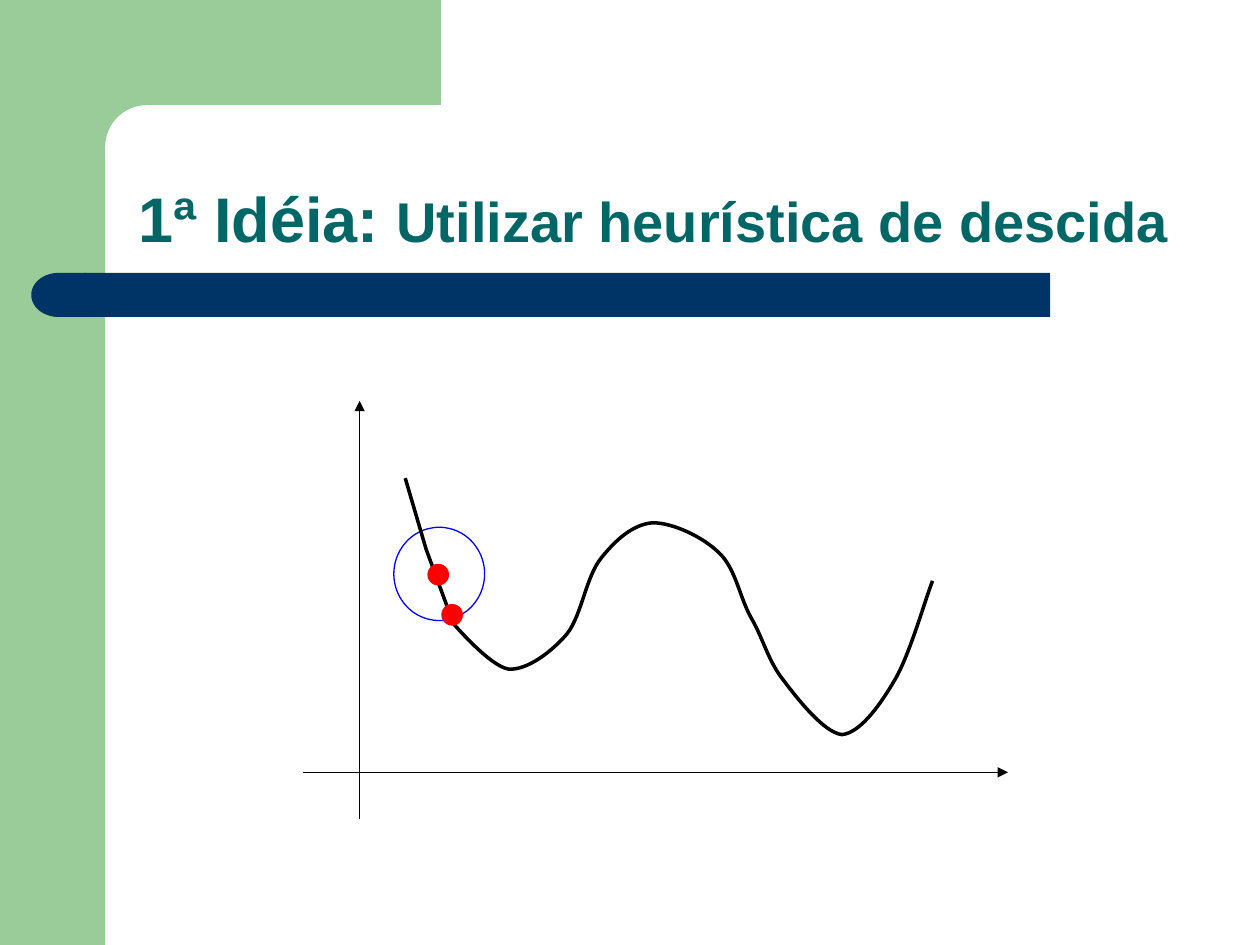
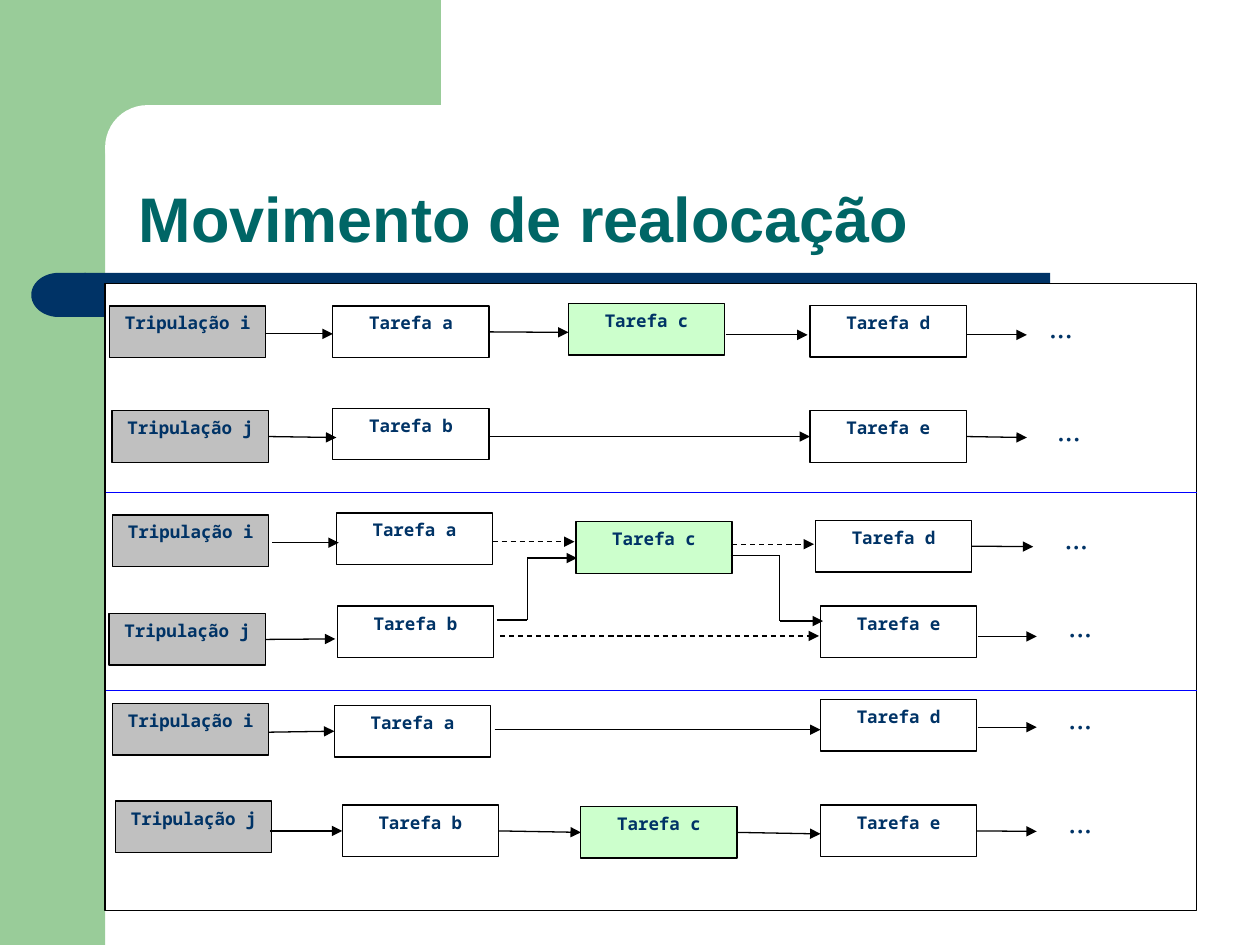
"""Builds two slides on descent heuristics and the reallocation move."""
from dataclasses import dataclass
from itertools import chain, pairwise

from pptx import Presentation
from pptx import util as u
from pptx.dml.color import RGBColor
from pptx.enum import dml, shapes, text
from pptx.oxml.ns import qn
from lxml import etree

COLORS = {
    "green": "99CC99", "navy": "003366", "teal": "006666", "white": "FFFFFF",
    "black": "000000", "blue": "0000FF", "red": "FF0000", "mint": "CCFFCC", "gray": "C0C0C0",
}
TITLE_FRAME = {"left": u.Cm(2.54), "top": u.Cm(2.11), "width": u.Cm(22.22), "height": u.Cm(3.18)}
TITLE_TEXT = {"vertical_anchor": text.MSO_ANCHOR.BOTTOM, "auto_size": text.MSO_AUTO_SIZE.NONE,
              "word_wrap": True}
BOX_TEXT = {"vertical_anchor": text.MSO_ANCHOR.TOP, "word_wrap": True,
            "margin_left": u.Cm(0.25), "margin_right": u.Cm(0.25),
            "margin_top": u.Cm(0.13), "margin_bottom": u.Cm(0.13)}
TASK_FONT = {"name": "Noto Sans Mono", "size": u.Pt(10), "bold": True}
DOTS_FONT = {"name": "Times New Roman", "size": u.Pt(18), "bold": False}
RECTANGLE = shapes.MSO_SHAPE.RECTANGLE
OVAL = shapes.MSO_SHAPE.OVAL
BOX_SIZE = (3.15, 1.04)
DOTS_SIZE = (2.08, 1.37)
JOIN_GAP = u.Cm(0.07)
JOIN_DRIFT = u.Cm(0.03)


@dataclass
class Figure:
    """A preset shape, measured in centimetres."""
    kind: shapes.MSO_SHAPE
    left: float
    top: float
    width: float
    height: float
    fill: str
    line: str | None = None


@dataclass
class Line:
    """A straight line between two points in centimetres."""
    start: tuple[float, float]
    end: tuple[float, float]
    color: str = "black"
    arrow: bool = True
    dashed: bool = False


@dataclass
class Row:
    """A crew with its chain of tasks, the closing dots and level arrows."""
    boxes: list[tuple[str, float, float]]
    dots: tuple[float, float]
    arrows: list[tuple[float, float, float]]
    dashed: tuple[int, ...] = ()


BAND = [
    Figure(RECTANGLE, 0, 0, 2.12, 19.05, "green"),
    Figure(RECTANGLE, 1.9, 0, 6.99, 2.97, "green"),
    Figure(shapes.MSO_SHAPE.ROUNDED_RECTANGLE, 2.12, 2.12, 14.17, 1.7, "white"),
    Figure(RECTANGLE, 1.7, 5.5, 19.47, 0.89, "navy"),
    Figure(shapes.MSO_SHAPE.FLOWCHART_DELAY, 0.63, 5.5, 1.1, 0.89, "navy"),
]

NEIGHBOURHOOD = Figure(OVAL, 7.94, 10.63, 1.83, 1.88, "white", "blue")
SOLUTIONS = [Figure(OVAL, left, top, 0.41, 0.41, "red", "red")
             for left, top in [(8.63, 11.38), (8.91, 12.19)]]
AXES = [Line((7.25, 16.51), (7.25, 8.08)), Line((6.1, 15.57), (20.32, 15.57))]
CURVE_START = (8.17, 9.64)
CURVE = [
    ((8.17, 9.64), (8.59, 11.07), (8.59, 11.07)),
    ((8.59, 11.07), (9.14, 12.57), (9.14, 12.57)),
    ((9.14, 12.57), (9.88, 13.44), (10.26, 13.49)),
    ((10.64, 13.51), (11.13, 13.13), (11.43, 12.78)),
    ((11.73, 12.4), (11.81, 11.63), (12.12, 11.25)),
    ((12.4, 10.9), (12.75, 10.57), (13.16, 10.54)),
    ((13.56, 10.54), (14.17, 10.82), (14.5, 11.15)),
    ((14.83, 11.46), (14.91, 12.04), (15.14, 12.45)),
    ((15.39, 12.88), (15.49, 13.34), (15.8, 13.72)),
    ((16.1, 14.12), (16.61, 14.76), (16.97, 14.81)),
    ((17.3, 14.78), (17.68, 14.33), (18.06, 13.67)),
    ((18.36, 13.13), (18.64, 12.12), (18.8, 11.71)),
]

PANEL = Figure(RECTANGLE, 2.12, 5.72, 22, 12.64, "white", "black")
DIVIDERS = [Line((2.13, y), (24.13, y), "blue", arrow=False) for y in (9.93, 13.92)]
ROWS = [
    Row([("Tripulação i", 2.21, 6.17), ("Tarefa a", 6.71, 6.17),
         ("Tarefa c", 11.46, 6.12), ("Tarefa d", 16.33, 6.16)], (20.9, 6.05),
        [(5.36, 6.71, 6.73), (9.88, 11.46, 6.7), (14.63, 16.28, 6.75), (19.48, 20.7, 6.75)]),
    Row([("Tripulação j", 2.26, 8.28), ("Tarefa b", 6.71, 8.23),
         ("Tarefa e", 16.33, 8.28)], (21.06, 8.13),
        [(5.46, 6.78, 8.82), (9.88, 16.31, 8.8), (19.48, 20.7, 8.82)]),
    Row([("Tripulação i", 2.27, 10.38), ("Tarefa a", 6.78, 10.34),
         ("Tarefa c", 11.61, 10.52), ("Tarefa d", 16.44, 10.49)], (21.21, 10.31),
        [(5.49, 6.83, 10.94), (9.93, 11.58, 10.92), (14.76, 16.41, 10.97),
         (19.63, 20.83, 11.02)], dashed=(1, 2)),
    Row([("Tripulação j", 2.2, 12.37), ("Tarefa b", 6.8, 12.22),
         ("Tarefa e", 16.54, 12.22)], (21.29, 12.09),
        [(5.41, 6.76, 12.88), (10.08, 16.51, 12.82), (19.71, 20.9, 12.83)], dashed=(1,)),
    Row([("Tripulação i", 2.27, 14.18), ("Tarefa a", 6.74, 14.22),
         ("Tarefa d", 16.54, 14.1)], (21.29, 13.94),
        [(5.41, 6.76, 14.76), (9.97, 16.54, 14.71), (19.71, 20.9, 14.66)]),
    Row([("Tripulação j", 2.33, 16.15), ("Tarefa b", 6.9, 16.23),
         ("Tarefa c", 11.71, 16.26), ("Tarefa e", 16.54, 16.23)], (21.29, 16.03),
        [(5.44, 6.93, 16.75), (10.06, 11.71, 16.76), (14.88, 16.54, 16.81),
         (19.71, 20.9, 16.76)]),
]
DETOURS = [
    [(10.01, 12.5), (10.63, 12.5), (10.63, 11.25), (11.63, 11.25)],
    [(14.73, 11.2), (15.72, 11.2), (15.72, 12.52), (16.59, 12.52)],
]


def rgb(name: str) -> RGBColor:
    """Return a palette colour."""
    return RGBColor.from_string(COLORS[name])


def apply(target, values: dict) -> None:
    """Set each named attribute on the target."""
    for name, value in values.items():
        setattr(target, name, value)


def draw_figure(slide, figure: Figure):
    """Draw a preset shape."""
    frame = map(u.Cm, (figure.left, figure.top, figure.width, figure.height))
    shape = slide.shapes.add_shape(figure.kind, *frame)
    shape.shadow.inherit = False
    shape.fill.solid()
    shape.fill.fore_color.rgb = rgb(figure.fill)
    if figure.line:
        shape.line.color.rgb = rgb(figure.line)
        shape.line.width = u.Pt(0.75)
    else:
        shape.line.fill.background()
    return shape


def write(shape, words: str, font: dict, alignment) -> None:
    """Write one line of navy text in a shape."""
    apply(shape.text_frame, BOX_TEXT)
    paragraph = shape.text_frame.paragraphs[0]
    paragraph.alignment = alignment
    run = paragraph.add_run()
    run.text = words
    apply(run.font, font)
    run.font.color.rgb = rgb("navy")


def find_side(boxes: list, x: int, y: int):
    """Return the box and site whose side middle lies at the point, if any."""
    for box in boxes:
        middle = box.top + box.height // 2
        for site, edge in ((1, box.left), (3, box.left + box.width)):
            if abs(x - edge) <= JOIN_GAP and abs(y - middle) <= JOIN_DRIFT:
                return box, site
    return None


def draw_line(slide, line: Line, boxes: list | None = None) -> None:
    """Draw a straight connector and join it to the boxes it meets."""
    ends = [u.Cm(value) for value in (*line.start, *line.end)]
    connector = slide.shapes.add_connector(shapes.MSO_CONNECTOR.STRAIGHT, *ends)
    connector.line.color.rgb = rgb(line.color)
    connector.line.width = u.Pt(0.75)
    if line.dashed:
        connector.line.dash_style = dml.MSO_LINE.DASH
    if line.arrow:
        etree.SubElement(connector.line._get_or_add_ln(), qn("a:tailEnd"), type="triangle")
    etree.SubElement(connector._element.spPr, qn("a:effectLst"))
    for join, point in ((connector.begin_connect, ends[:2]), (connector.end_connect, ends[2:])):
        side = find_side(boxes or [], *point)
        if side:
            join(*side)


def draw_curve(slide) -> None:
    """Draw the cost curve, turning each three points into a Bézier segment."""
    builder = slide.shapes.build_freeform(*map(u.Cm, CURVE_START))
    points = [tuple(map(u.Cm, point)) for point in chain.from_iterable(CURVE)]
    builder.add_line_segments(points, close=False)
    curve = builder.convert_to_shape()
    segments = list(curve._element.iter(qn("a:lnTo")))
    for index in range(0, len(segments), 3):
        bezier = etree.SubElement(segments[index].getparent(), qn("a:cubicBezTo"))
        for segment in segments[index:index + 3]:
            bezier.append(segment[0])
            segment.getparent().remove(segment)
    curve.shadow.inherit = False
    curve.fill.background()
    curve.line.color.rgb = rgb("black")
    curve.line.width = u.Pt(2)


def draw_row(slide, row: Row) -> None:
    """Draw one crew chain with its arrows."""
    boxes = []
    for words, left, top in row.boxes:
        fill = "gray" if words.startswith("Tripulação") else "mint" if words == "Tarefa c" else "white"
        box = draw_figure(slide, Figure(RECTANGLE, left, top, *BOX_SIZE, fill, "black"))
        write(box, words, TASK_FONT, text.PP_ALIGN.CENTER)
        boxes.append(box)
    dots = draw_figure(slide, Figure(RECTANGLE, *row.dots, *DOTS_SIZE, "white", "white"))
    write(dots, "...", DOTS_FONT, text.PP_ALIGN.LEFT)
    for index, (left, right, y) in enumerate(row.arrows):
        draw_line(slide, Line((left, y), (right, y), dashed=index in row.dashed), boxes)


def add_titled_slide(presentation, *runs: tuple[str, int]):
    """Add a title-only slide whose title has runs of the given sizes."""
    slide = presentation.slides.add_slide(presentation.slide_layouts[5])
    title = slide.shapes.title
    apply(title, TITLE_FRAME)
    apply(title.text_frame, TITLE_TEXT)
    paragraph = title.text_frame.paragraphs[0]
    apply(paragraph, {"alignment": text.PP_ALIGN.LEFT, "line_spacing": 0.9})
    for words, size in runs:
        run = paragraph.add_run()
        run.text = words
        apply(run.font, {"name": "Arial", "size": u.Pt(size), "bold": True})
        run.font.color.rgb = rgb("teal")
    return slide


def move_band_to_layout(slide) -> None:
    """Draw the shared band and place it on the slide layout."""
    for number, figure in enumerate(BAND, start=20):
        shape = draw_figure(slide, figure)
        if figure.kind == shapes.MSO_SHAPE.ROUNDED_RECTANGLE:
            shape.adjustments[0] = 0.5
        if figure.kind == shapes.MSO_SHAPE.FLOWCHART_DELAY:
            shape.rotation = 180
        shape._element.nvSpPr.cNvPr.set("id", str(number))
        slide.slide_layout.shapes._spTree.append(shape._element)


def build_descent(presentation) -> None:
    """Build the descent heuristic slide."""
    slide = add_titled_slide(presentation, ("1ª Idéia: ", 36), ("Utilizar heurística de descida", 32))
    move_band_to_layout(slide)
    draw_figure(slide, NEIGHBOURHOOD)
    for axis in AXES:
        draw_line(slide, axis)
    draw_curve(slide)
    for solution in SOLUTIONS:
        draw_figure(slide, solution)


def build_reallocation(presentation) -> None:
    """Build the reallocation move slide."""
    slide = add_titled_slide(presentation, ("Movimento de realocação", 36))
    draw_figure(slide, PANEL)
    for row in ROWS:
        draw_row(slide, row)
    for detour in DETOURS:
        for start, end in pairwise(detour):
            draw_line(slide, Line(start, end, arrow=end == detour[-1]))
    for divider in DIVIDERS:
        draw_line(slide, divider)


def main() -> None:
    """Build and save the presentation."""
    presentation = Presentation()
    apply(presentation, {"slide_width": u.Cm(25.4), "slide_height": u.Cm(19.05)})
    build_descent(presentation)
    build_reallocation(presentation)
    presentation.save("out.pptx")


if __name__ == "__main__":
    main()
